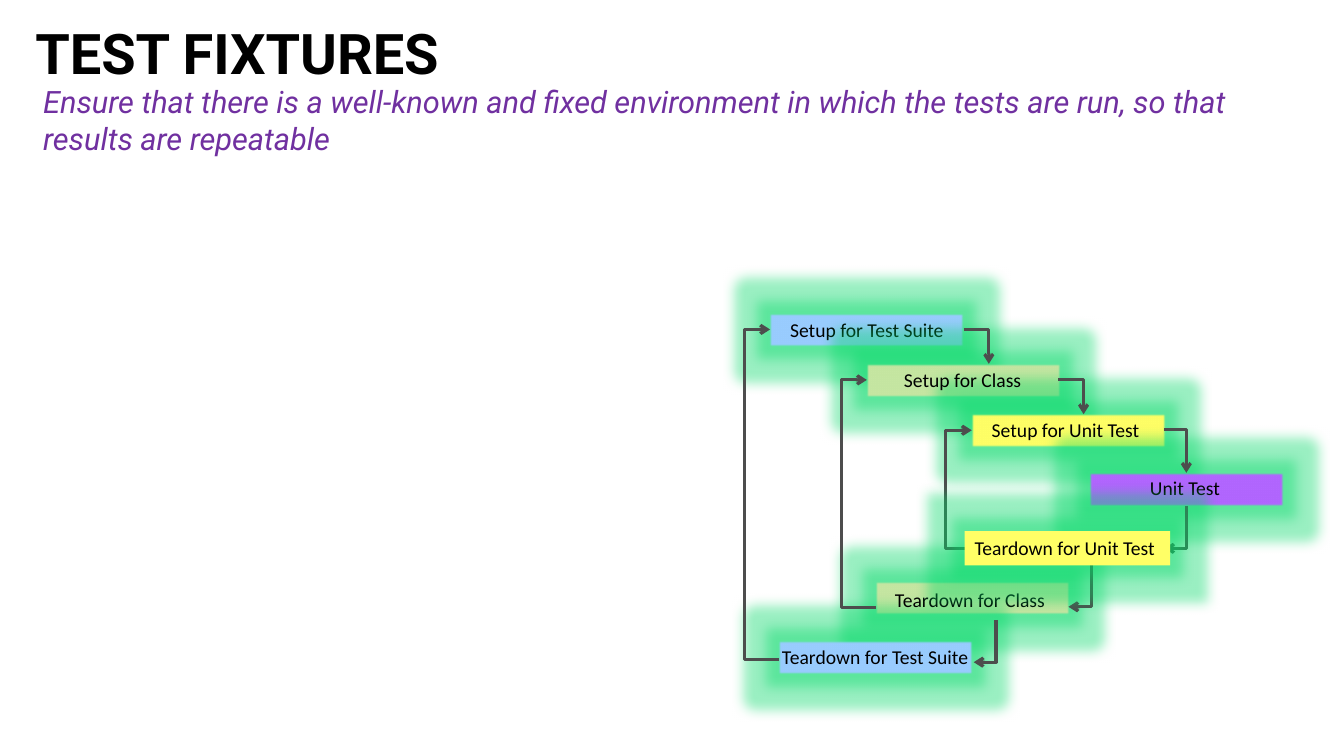
"""Builds the slide on test fixtures with its nested setup and teardown flow."""
from lxml import etree
from pptx import Presentation
from pptx.dml.color import RGBColor
from pptx.enum.shapes import MSO_CONNECTOR, MSO_SHAPE
from pptx.enum.text import MSO_ANCHOR, PP_ALIGN
from pptx.oxml import parse_xml
from pptx.oxml.ns import nsdecls, qn
from pptx.util import Pt

ELBOW = MSO_CONNECTOR.ELBOW
RECT = MSO_SHAPE.RECTANGLE
TOP, MIDDLE = MSO_ANCHOR.TOP, MSO_ANCHOR.MIDDLE
LEFT, CENTER = PP_ALIGN.LEFT, PP_ALIGN.CENTER

COLORS = {
    "text": "000000", "quote": "7030A0", "link": "4D4D4D", "glow": "00D966",
    "suite": "99CCFF", "class": "C6E6A2", "unit": "FFFF66", "test": "B266FF",
}
LABEL = {"name": "Calibri", "size": Pt(14)}
TITLE = {"name": "Roboto", "size": Pt(40), "bold": True}
QUOTE = {"name": "Roboto", "size": Pt(22), "italic": True}
BOX_W, BOX_H, LABEL_H = 138.24, 23.76, 24.5

BOXES = [
    ("suite", 550.08, 223.92), ("class", 619.2, 259.92),
    ("unit", 694.08, 295.92), ("test", 778.32, 337.68),
    ("class", 625.68, 415.44), ("suite", 556.56, 457.92),
]
STEPS_IN = [
    (688.3, 235.4, 706.3, 259.9), (756, 271.4, 774, 295.9),
    (831.6, 306.7, 847.4, 337.7),
]
STEPS_OUT = [
    (847.4, 361.4, 831.6, 391.7), (779.8, 403.9, 763.2, 433.4),
    (711.4, 442.8, 695.5, 473),
]
LOOPS = [
    (693.4, 391.7, 694.1, 307.4, 675.4),
    (625.7, 434.2, 619.2, 271.4, 601.2),
    (556.6, 470.9, 550.1, 235.4, 532.1),
]
LABELS = [
    ("Setup for Class", 638.6, 259.2, 99.4),
    ("Setup for Unit Test", 701.3, 295.2, 121),
    ("Unit Test", 814.3, 336.2, 65.5),
    ("Teardown for Class", 632.2, 416.2, 122.4),
    ("Teardown for Test Suite", 551.5, 457.2, 151.2),
]


class Deck:
    """Holds the style and the current slide."""

    def __init__(self, width, height):
        self.prs = Presentation()
        self.prs.slide_width, self.prs.slide_height = Pt(width), Pt(height)
        self.s = self.prs.slides.add_slide(self.prs.slide_layouts[6])

    def fill_text(self, sp, text, font, color="text", align=LEFT, wrap=False, frame=None):
        """Puts one styled paragraph into a shape."""
        tf = sp.text_frame
        tf.word_wrap = wrap
        for name, value in (frame or {}).items():
            setattr(tf, name, value)
        p = tf.paragraphs[0]
        p.alignment = align
        r = p.add_run()
        r.text = text
        for name, value in font.items():
            setattr(r.font, name, value)
        r.font.color.rgb = RGBColor.from_string(COLORS[color])
        return p

    def text(self, text, x, y, w, h, font, **options):
        """Adds a text box."""
        sp = self.s.shapes.add_textbox(Pt(x), Pt(y), Pt(w), Pt(h))
        return self.fill_text(sp, text, font, **options)

    def box(self, color, x, y, w=BOX_W, h=BOX_H, soft=True):
        """Adds a glowing rectangle."""
        sp = self.s.shapes.add_shape(RECT, Pt(x), Pt(y), Pt(w), Pt(h))
        sp.fill.solid()
        sp.fill.fore_color.rgb = RGBColor.from_string(COLORS[color])
        sp.line.fill.background()
        edge = f'<a:softEdge rad="{Pt(1)}"/>' if soft else ""
        sp._element.spPr.append(parse_xml(
            f'<a:effectLst {nsdecls("a")}><a:glow rad="{Pt(18)}">'
            f'<a:srgbClr val="{COLORS["glow"]}"><a:alpha val="40000"/></a:srgbClr>'
            f'</a:glow>{edge}</a:effectLst>'))
        return sp

    def link(self, x1, y1, x2, y2, bend=None):
        """Adds a bent arrow."""
        c = self.s.shapes.add_connector(ELBOW, Pt(x1), Pt(y1), Pt(x2), Pt(y2))
        c.line.color.rgb = RGBColor.from_string(COLORS["link"])
        c.line.width = Pt(2.25)
        spPr = c._element.spPr
        etree.SubElement(spPr.find(qn("a:ln")), qn("a:tailEnd"), type="arrow")
        etree.SubElement(spPr, qn("a:effectLst"))
        geom = spPr.find(qn("a:prstGeom"))
        if bend is None:
            geom.set("prst", "bentConnector2")
        else:
            ratio = round((bend - x1) / (x2 - x1) * 100000)
            guides = geom.get_or_add_avLst()
            etree.SubElement(guides, qn("a:gd"), name="adj1", fmla=f"val {ratio}")
        return c

    def drop(self, x1, y1, x2, y2):
        """Adds a bent arrow that goes down first, then left."""
        w, h = y2 - y1, x1 - x2
        x, y = (x1 + x2 - w) / 2, (y1 + y2 - h) / 2
        c = self.link(x, y, x + w, y + h)
        c._element.spPr.find(qn("a:xfrm")).set("rot", "5400000")


def main():
    deck = Deck(960, 540)
    p = deck.text("TEST FIXTURES", 25.2, 18, 450, 46, TITLE, wrap=True, frame={
        "margin_left": 0, "margin_right": 0, "margin_top": Pt(3.6),
        "margin_bottom": 0, "vertical_anchor": MIDDLE})
    p.line_spacing = 0.7

    boxes = [deck.box(*box) for box in BOXES]
    deck.fill_text(boxes[0], "Setup for Test Suite", LABEL, align=CENTER, wrap=True,
                   frame={"vertical_anchor": MIDDLE})
    for step in STEPS_IN:
        deck.link(*step)
    for step in STEPS_OUT:
        deck.drop(*step)
    for loop in LOOPS:
        deck.link(*loop)
    for text, x, y, w in LABELS:
        deck.text(text, x, y, w, LABEL_H, LABEL)
    sp = deck.box("unit", 689.04, 379.44, 146.88, LABEL_H, soft=False)
    deck.fill_text(sp, "Teardown for Unit Test", LABEL, frame={"vertical_anchor": TOP})

    deck.text("Ensure that there is a well-known and fixed environment in which the "
              "tests are run, so that results are repeatable",
              23.76, 55.44, 902.88, 60.5, QUOTE, color="quote", wrap=True)
    deck.prs.save("out.pptx")


if __name__ == "__main__":
    main()
